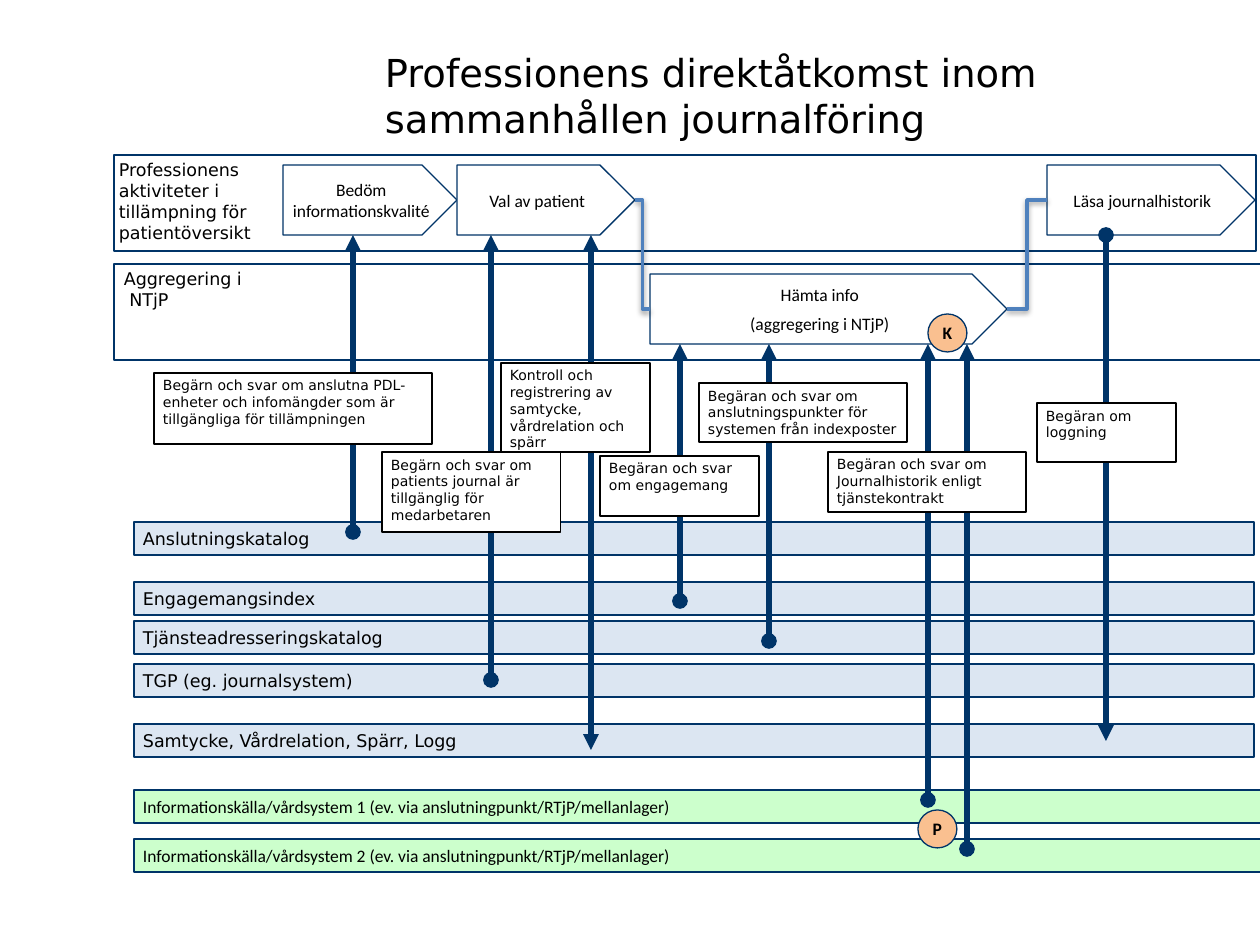
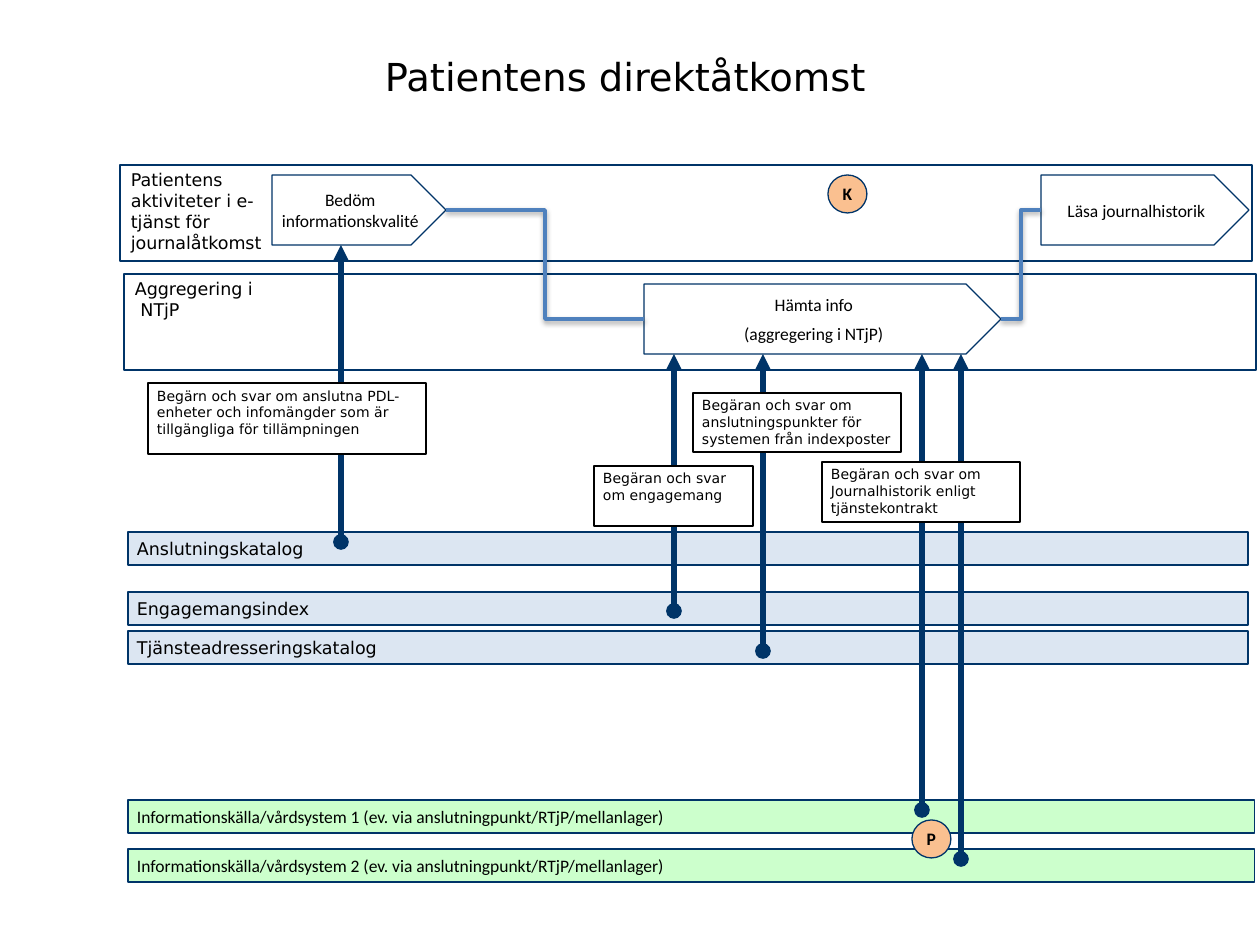
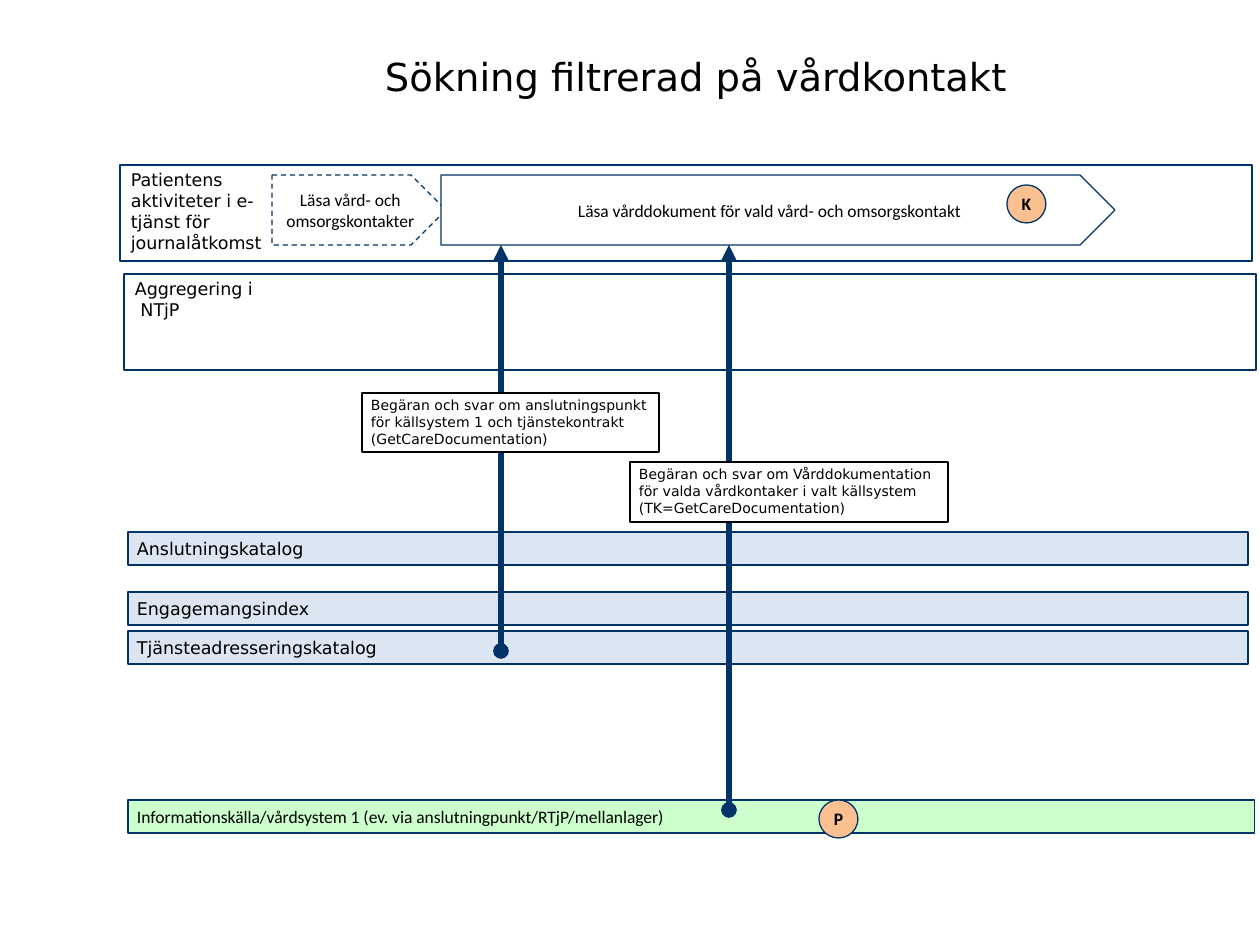
from lxml.etree import SubElement
from pptx import Presentation
from pptx.dml.color import RGBColor
from pptx.enum.dml import MSO_LINE
from pptx.enum.shapes import MSO_CONNECTOR, MSO_SHAPE
from pptx.enum.text import MSO_ANCHOR, PP_ALIGN
from pptx.oxml.ns import qn
from pptx.util import Inches, Pt

PX = 7257  # EMU in one px, 126 px to the inch
SANS, CALIBRI = "DejaVu Sans", "Calibri"
NAVY, BLACK, WHITE = "003468", "000000", "FFFFFF"
PALE_BLUE, PALE_GREEN, ORANGE, LINK_BLUE = "DCE6F2", "CCFFCC", "FAC090", "4F81BD"
rgb = RGBColor.from_string


def add_text(s, text, x, y, w, h, kind=None, fill=None, line=None, dash=False,
             font=SANS, size=10, bold=False, align=PP_ALIGN.LEFT,
             anchor=MSO_ANCHOR.MIDDLE, before=0, inset=(9, 4)):
    """Add a text box, or a preset shape if kind is given, and return it."""
    box = (x * PX, y * PX, w * PX, h * PX)
    if kind is None:
        sp = s.shapes.add_textbox(*box)
    else:
        sp = s.shapes.add_shape(kind, *box)
        sp.shadow.inherit = False
        sp.line.color.rgb = rgb(line)
        sp.line.width = Pt(0.75)
        if dash:
            sp.line.dash_style = MSO_LINE.DASH
        if fill:
            sp.fill.solid()
            sp.fill.fore_color.rgb = rgb(fill)
        else:
            sp.fill.background()
    tf = sp.text_frame
    tf.word_wrap = True
    tf.vertical_anchor = anchor
    tf.margin_left = tf.margin_right = inset[0] * PX
    tf.margin_top = tf.margin_bottom = inset[1] * PX
    tf.text = text
    for p in tf.paragraphs:
        p.alignment = align
        p.space_before = Pt(before)
        for r in p.runs:
            r.font.name, r.font.size, r.font.bold = font, Pt(size), bold
            r.font.color.rgb = rgb(BLACK)
    return sp


def add_arrow(s, x, top, bottom, head="triangle", tail="oval"):
    """Add a thick vertical line with an end mark at the top and the bottom."""
    c = s.shapes.add_connector(MSO_CONNECTOR.STRAIGHT, x * PX, top * PX, x * PX, bottom * PX)
    c.line.color.rgb = rgb(NAVY)
    c.line.width = Pt(3)
    ln = c.line._get_or_add_ln()
    SubElement(ln, qn("a:headEnd"), type=head)
    SubElement(ln, qn("a:tailEnd"), type=tail)
    SubElement(c._element.spPr, qn("a:effectLst"))


# Styles shared by all slides
LABEL = dict(anchor=MSO_ANCHOR.TOP)
FRAME = dict(kind=MSO_SHAPE.RECTANGLE, line=NAVY)
BAR = dict(kind=MSO_SHAPE.RECTANGLE, line=NAVY, before=5)
STEP = dict(kind=MSO_SHAPE.PENTAGON, fill=WHITE, line=NAVY, font=CALIBRI,
            align=PP_ALIGN.CENTER, before=5)
NOTE = dict(kind=MSO_SHAPE.RECTANGLE, fill=WHITE, line=BLACK, size=8, anchor=MSO_ANCHOR.TOP)
BADGE = dict(kind=MSO_SHAPE.OVAL, fill=ORANGE, line=NAVY, font=CALIBRI, bold=True,
             align=PP_ALIGN.CENTER, before=5)

# Parts that several slides use, before each slide's shift
CATALOGUES = [("Anslutningskatalog", 522), ("Engagemangsindex", 582),
              ("Tjänsteadresseringskatalog", 621)]
SOURCES = [(f"Informationskälla/vårdsystem {n} (ev. via anslutningpunkt/RTjP/mellanlager)", y)
           for n, y in ((1, 790), (2, 839))]
FETCH = ("Hämta info\n(aggregering i NTjP)", 650, 274, 357)
READ = ("Läsa journalhistorik", 1047, 165, 208)
FETCH_ARROWS = [(680, 344, 601), (769, 344, 641), (928, 344, 800), (967, 344, 849)]
FETCH_NOTES = [
    ("Begärn och svar om anslutna PDL-enheter och infomängder som är tillgängliga "
     "för tillämpningen", 154, 373, 278, 71),
    ("Begäran och svar om engagemang", 600, 456, 159, 60),
    ("Begäran och svar om anslutningspunkter för systemen från indexposter", 699, 383, 208, 59),
    ("Begäran och svar om Journalhistorik enligt tjänstekontrakt", 828, 452, 198, 60),
]
PATIENT = dict(
    shift=(-6, 10), title_h=79, frames=[(126, 155, 1132), (130, 264, 1132)],
    labels=[("Patientens aktiviteter i e-tjänst för journalåtkomst", 128, 155, 154),
            ("Aggregering i\v NTjP", 132, 264, 139)],
    catalogues=CATALOGUES)

SLIDES = [
    dict(
        title="Professionens direktåtkomst inom sammanhållen journalföring",
        shift=(0, 0), title_h=116, frames=[(114, 155, 1142), (114, 264, 1147)],
        labels=[("Professionens aktiviteter i tillämpning för patientöversikt", 110, 155, 213),
                ("Aggregering i\v NTjP", 115, 264, 139)],
        catalogues=CATALOGUES + [("TGP (eg. journalsystem)", 664),
                                 ("Samtycke, Vårdrelation, Spärr, Logg", 724)],
        sources=SOURCES,
        steps=[("Bedöm informationskvalité", 283, 165, 174), ("Val av patient", 457, 165, 178),
               FETCH, READ],
        links=[(1, 2), (2, 3)],
        arrows=FETCH_ARROWS + [(353, 235, 532), (491, 235, 680),
                               (591, 235, 750, "triangle", "triangle"),
                               (1106, 235, 741, "oval", "triangle")],
        notes=FETCH_NOTES + [
            ("Begärn och svar om patients journal är tillgänglig för medarbetaren",
             382, 452, 179, 80),
            ("Kontroll och registrering av samtycke, vårdrelation och spärr", 501, 363, 149, 89),
            ("Begäran om loggning", 1037, 403, 139, 59)],
        badges=[("P", 918, 810), ("K", 928, 314)],
    ),
    dict(
        PATIENT, title="Patientens direktåtkomst", sources=SOURCES,
        steps=[("Bedöm informationskvalité", 278, 165, 174), FETCH, READ],
        links=[(0, 1), (1, 2)],
        arrows=FETCH_ARROWS + [(347, 235, 532)],
        notes=FETCH_NOTES,
        badges=[("P", 918, 810), ("K", 834, 165)],
    ),
    dict(
        PATIENT, title="Sökning filtrerad på vårdkontakt", sources=SOURCES[:1],
        steps=[("Läsa vård- och omsorgskontakter", 278, 165, 174),
               ("Läsa vårddokument för vald vård- och omsorgskontakt", 447, 165, 674)],
        dashed=0, links=[],
        arrows=[(507, 235, 641), (735, 235, 800)],
        notes=[("Begäran och svar om anslutningspunkt för källsystem 1 och tjänstekontrakt "
                "(GetCareDocumentation)", 368, 383, 297, 59),
               ("Begäran och svar om Vårddokumentation för valda vårdkontaker i valt källsystem "
                "(TK=GetCareDocumentation)", 636, 452, 318, 60)],
        badges=[("P", 825, 790), ("K", 1013, 175)],
    ),
]

prs = Presentation()
prs.slide_width, prs.slide_height = Inches(10), Inches(7.5)

for d in SLIDES:
    s = prs.slides.add_slide(prs.slide_layouts[6])
    dx, dy = d["shift"]
    add_text(s, d["title"], 372, 37, 838, d["title_h"], size=22, inset=(13, 6))

    # Service bars
    for bars, fill, w, font in ((d["catalogues"], PALE_BLUE, 1120, SANS),
                                (d["sources"], PALE_GREEN, 1127, CALIBRI)):
        for text, y in bars:
            add_text(s, text, 134 + dx, y + dy, w, 33, fill=fill, font=font, **BAR)

    # Activity and aggregation lanes
    for x, y, w in d["frames"]:
        add_text(s, "", x + dx, y + dy, w, 96, **FRAME)
    for text, x, y, w in d["labels"]:
        add_text(s, text, x + dx, y + dy, w, 93, **LABEL)

    # Process steps and the links between them
    steps = [add_text(s, text, x + dx, y + dy, w, 70, dash=i == d.get("dashed"), **STEP)
             for i, (text, x, y, w) in enumerate(d["steps"])]
    for a, b in d["links"]:
        c = s.shapes.add_connector(MSO_CONNECTOR.ELBOW, 0, 0, 0, 0)
        c.begin_connect(steps[a], 3)
        c.end_connect(steps[b], 1)
        c.line.color.rgb = rgb(LINK_BLUE)
        c.line.width = Pt(2)

    # Calls, their notes and the badges
    for x, top, bottom, *ends in d["arrows"]:
        add_arrow(s, x + dx, top + dy, bottom + dy, *ends)
    for text, x, y, w, h in d["notes"]:
        add_text(s, text, x + dx, y + dy, w, h, **NOTE)
    for text, x, y in d["badges"]:
        add_text(s, text, x + dx, y + dy, 39, 38, **BADGE)

prs.save("out.pptx")
